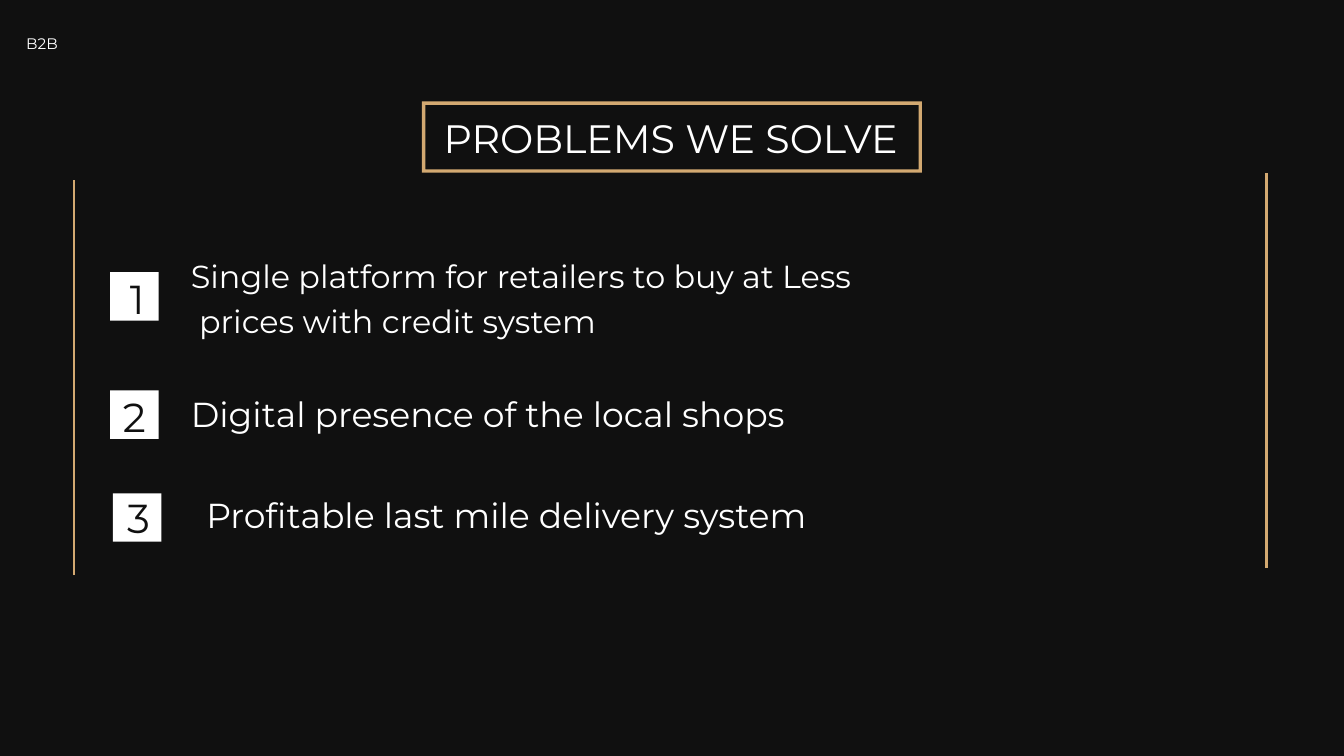
from dataclasses import dataclass

from lxml.etree import SubElement
from pptx import Presentation
from pptx.dml.color import RGBColor
from pptx.enum.shapes import MSO_CONNECTOR, MSO_SHAPE
from pptx.enum.text import PP_ALIGN
from pptx.oxml.ns import qn
from pptx.util import Inches, Pt

COLS, ROWS = 20, 11.25  # square grid cells across and down the slide
CELL = Inches(1)


@dataclass(frozen=True)
class Theme:
    font: str = "Montserrat"
    dark: RGBColor = RGBColor(0x10, 0x10, 0x10)
    light: RGBColor = RGBColor(0xFF, 0xFF, 0xFF)
    gold: RGBColor = RGBColor(0xD3, 0xA9, 0x71)
    label: float = 16.3
    title: float = 42.4
    number: float = 43.3
    body: float = 37.1
    body_small: float = 34.1
    leading: float = 1.4  # line pitch as a multiple of the type size
    rule: float = 3


THEME = Theme()


def grid(*cells):
    return [round(c * CELL) for c in cells]


def add_text(s, box, lines, size, color=THEME.light, align=PP_ALIGN.LEFT):
    tf = s.shapes.add_textbox(*grid(*box)).text_frame
    tf.word_wrap = True
    tf.margin_left = tf.margin_top = tf.margin_right = tf.margin_bottom = 0
    for i, line in enumerate(lines):
        p = tf.add_paragraph() if i else tf.paragraphs[0]
        p.alignment = align
        p.line_spacing = Pt(round(size * THEME.leading, 1))
        r = p.add_run()
        r.text = line
        r.font.name = THEME.font
        r.font.size = Pt(size)
        r.font.color.rgb = color


def add_block(s, kind, box, color):
    sp = s.shapes.add_shape(kind, *grid(*box))
    sp.shadow.inherit = False
    sp.fill.solid()
    sp.fill.fore_color.rgb = color
    sp.line.fill.background()
    return sp


def add_side_rule(s, x, top, height=5.88):
    line = s.shapes.add_connector(
        MSO_CONNECTOR.STRAIGHT, *grid(x, top + height, x, top))
    line.line.color.rgb = THEME.gold
    line.line.width = Pt(THEME.rule)
    SubElement(line._element.spPr, qn("a:effectLst"))


def add_title(s, text):
    width, height, border = 7.44, 1.06, 0.05
    frame = add_block(s, MSO_SHAPE.FRAME,
                      ((COLS - width) / 2, 1.51, width, height), THEME.gold)
    frame.adjustments[0] = border / height
    add_text(s, (5.75, 1.58, 8.46, 0.8), [text], THEME.title,
             align=PP_ALIGN.CENTER)


def add_problem(s, number, tile, digit, box, lines, size):
    """A numbered white tile with its statement to the right."""
    add_block(s, MSO_SHAPE.RECTANGLE, (*tile, 0.72, 0.72), THEME.light)
    add_text(s, (*digit, 0.52, 0.81), [str(number)], THEME.number,
             THEME.dark, PP_ALIGN.CENTER)
    add_text(s, box, lines, size)


def main():
    prs = Presentation()
    prs.slide_width, prs.slide_height = grid(COLS, ROWS)
    s = prs.slides.add_slide(prs.slide_layouts[6])
    s.background.fill.solid()
    s.background.fill.fore_color.rgb = THEME.dark

    add_text(s, (0.39, 0.46, 2.94, 0.3), ["B2B"], THEME.label)
    add_title(s, "PROBLEMS WE SOLVE")
    add_side_rule(s, 1.1, 2.68)
    add_side_rule(s, 18.85, 2.57)

    problems = [
        ((1.64, 4.05), (1.78, 3.96), (2.84, 3.73, 16.32, 1.29),
         ["Single platform for retailers to buy at Less",
          " prices with credit system"], THEME.body_small),
        ((1.64, 5.81), (1.74, 5.72), (2.84, 5.74, 9.8, 0.68),
         ["Digital presence of the local shops"], THEME.body),
        ((1.68, 7.34), (1.8, 7.22), (3.07, 7.24, 10.65, 0.68),
         ["Profitable last mile delivery system"], THEME.body),
    ]
    for number, problem in enumerate(problems, 1):
        add_problem(s, number, *problem)

    prs.save("out.pptx")


if __name__ == "__main__":
    main()
